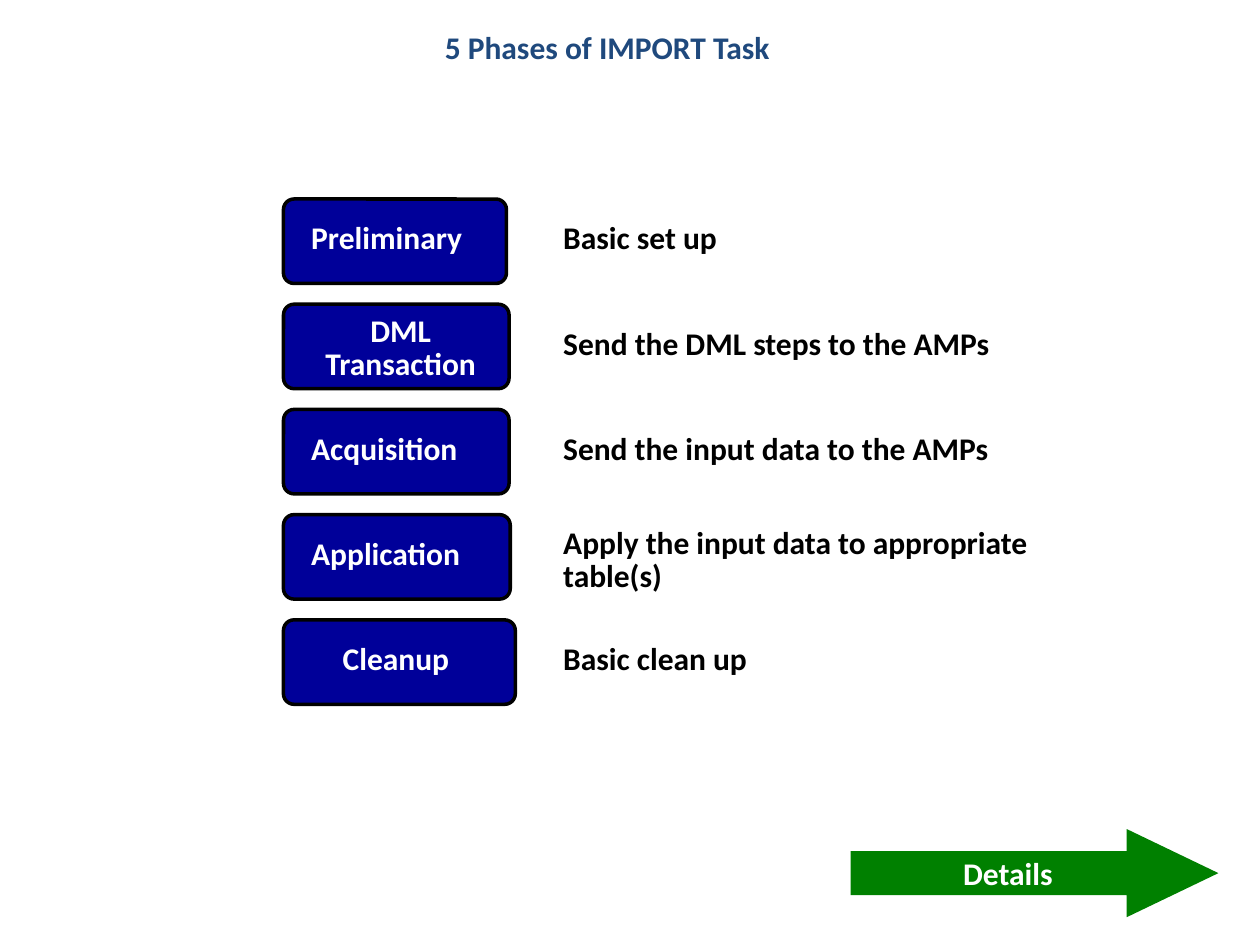
from dataclasses import dataclass
from pptx import Presentation
from pptx.dml.color import RGBColor
from pptx.enum.shapes import MSO_SHAPE
from pptx.enum.text import MSO_ANCHOR, MSO_AUTO_SIZE, PP_ALIGN
from pptx.util import Inches, Pt

COLORS = {"title": "1F497D", "box": "000099", "black": "000000",
          "white": "FFFFFF", "arrow": "008000"}
FONT = {"name": "Calibri", "size": Pt(18), "bold": True}
MARGINS = {"margin_left": Inches(0.05), "margin_right": Inches(0.05),
           "margin_top": Inches(0.02), "margin_bottom": Inches(0.02)}
TOP, PITCH, BOX_LEFT, BOX_HEIGHT = 1.58, 0.835, 2.25, 0.67
TEXT_LEFT, TEXT_HEIGHT = 4.42, 0.31


@dataclass
class Label:
    lines: list[str]
    left: float
    width: float
    height: float = TEXT_HEIGHT
    dy: float = 0.17
    spacing: float = 0.89
    align: PP_ALIGN = PP_ALIGN.LEFT
    wrap: bool = False


@dataclass
class Phase:
    box_width: float
    name: Label
    description: Label


PHASES = [
    Phase(1.77, Label(["Preliminary"], 2.42, 1.47, spacing=0.86),
          Label(["Basic set up"], TEXT_LEFT, 1.58)),
    Phase(1.79, Label(["DML", "Transaction"], 2.42, 1.52, 0.56, 0.08, 0.86, PP_ALIGN.CENTER),
          Label(["Send the DML steps to the AMPs"], TEXT_LEFT, 4.01)),
    Phase(1.79, Label(["Acquisition"], 2.42, 1.47),
          Label(["Send the input data to the AMPs"], TEXT_LEFT, 3.94)),
    Phase(1.8, Label(["Application"], 2.42, 1.47),
          Label(["Apply the input data to appropriate table(s)"], TEXT_LEFT, 4.49,
                0.58, 0.08, wrap=True)),
    Phase(1.84, Label(["Cleanup"], 2.67, 1.09),
          Label(["Basic clean up"], TEXT_LEFT, 1.85)),
]


def rgb(color: str) -> RGBColor:
    return RGBColor.from_string(COLORS[color])


def write(tf, lines: list[str], color: str, align: PP_ALIGN, spacing: float = 1.0) -> None:
    for i, line in enumerate(lines):
        p = tf.add_paragraph() if i else tf.paragraphs[0]
        p.alignment, p.line_spacing = align, spacing
        r = p.add_run()
        r.text = line
        for key, value in FONT.items():
            setattr(r.font, key, value)
        r.font.color.rgb = rgb(color)


def add_shape(s, kind: MSO_SHAPE, left: float, top: float, width: float, height: float,
              fill: str, adjustments: list[float]):
    sp = s.shapes.add_shape(kind, Inches(left), Inches(top), Inches(width), Inches(height))
    sp.shadow.inherit = False
    sp.fill.solid()
    sp.fill.fore_color.rgb = rgb(fill)
    for i, value in enumerate(adjustments):
        sp.adjustments[i] = value
    return sp


def add_label(s, label: Label, row_top: float, color: str, margins: dict) -> None:
    tf = s.shapes.add_textbox(Inches(label.left), Inches(row_top + label.dy),
                              Inches(label.width), Inches(label.height)).text_frame
    settings = {**margins, "word_wrap": label.wrap,
                "auto_size": MSO_AUTO_SIZE.SHAPE_TO_FIT_TEXT}
    for key, value in settings.items():
        setattr(tf, key, value)
    write(tf, label.lines, color, label.align, label.spacing)


def add_phase(s, phase: Phase, top: float) -> None:
    sp = add_shape(s, MSO_SHAPE.ROUNDED_RECTANGLE, BOX_LEFT, top, phase.box_width,
                   BOX_HEIGHT, "box", [0.125])
    sp.line.color.rgb = rgb("black")
    sp.line.width = Pt(2)
    add_label(s, phase.name, top, "white", MARGINS)
    add_label(s, phase.description, top, "black", MARGINS)


def add_details_arrow(s) -> None:
    sp = add_shape(s, MSO_SHAPE.RIGHT_ARROW, 6.75, 6.58, 2.92, 0.7, "arrow", [0.5, 1.04])
    sp.line.fill.background()
    sp.text_frame.vertical_anchor = MSO_ANCHOR.MIDDLE
    write(sp.text_frame, ["Details "], "white", PP_ALIGN.CENTER)


def main() -> None:
    prs = Presentation()
    prs.slide_width, prs.slide_height = Inches(10), Inches(7.5)
    s = prs.slides.add_slide(prs.slide_layouts[6])
    title = Label(["5 Phases of IMPORT Task"], 3.42, 2.8, 0.4, 0, 1.0, PP_ALIGN.CENTER)
    add_label(s, title, 0.17, "title", {})
    for i, phase in enumerate(PHASES):
        add_phase(s, phase, TOP + i * PITCH)
    add_details_arrow(s)
    prs.save("out.pptx")


if __name__ == "__main__":
    main()
